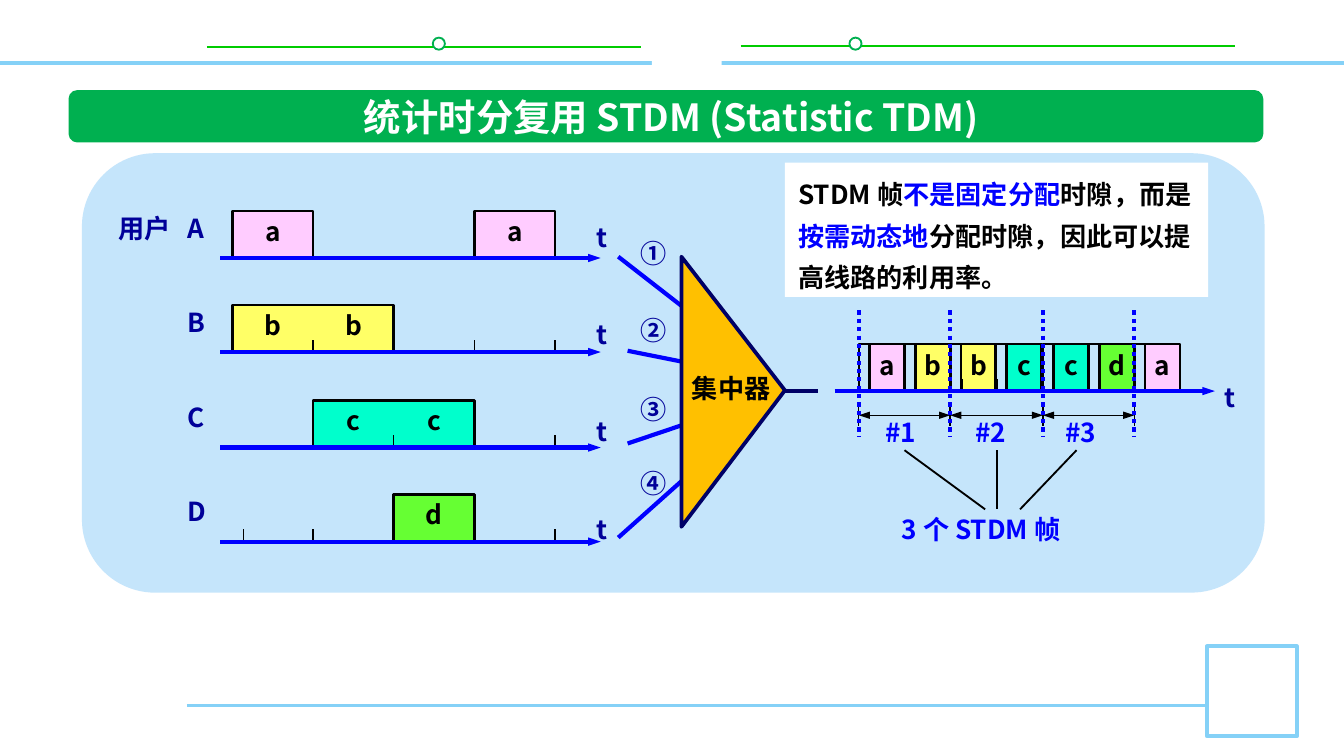
from dataclasses import dataclass
from typing import Optional

from lxml.etree import SubElement
from pptx import Presentation
from pptx.dml.color import RGBColor
from pptx.enum.dml import MSO_LINE
from pptx.enum.shapes import MSO_CONNECTOR, MSO_SHAPE
from pptx.enum.text import MSO_ANCHOR, MSO_AUTO_SIZE, PP_ALIGN
from pptx.oxml.ns import qn
from pptx.util import Emu, Pt

PX = 9144  # 100 px to the inch
FONT = "Noto Sans CJK SC"
COLORS = {
    "white": "FFFFFF", "black": "000000", "blue": "0000FF", "navy": "000099",
    "outline": "000066", "sky": "85D1F7", "panel": "C5E5FB", "title": "00B050",
    "rule": "00CC00", "orange": "FFC000",
    "a": "FFCCFF", "b": "FFFF66", "c": "00FFCC", "d": "66FF33",
}
CELL_X, CELL_W = 173, 60
SLOT_W, SLOT_H, GAP_W = 26, 35, 8
FRAME_Y = 291


@dataclass
class Line:
    x1: int
    y1: int
    x2: int
    y2: int
    color: str = "black"
    width: float = 0.75
    head: bool = False
    tail: bool = False
    dotted: bool = False


@dataclass
class Label:
    text: str
    x: int
    y: int
    w: int
    color: str = "navy"
    size: int = 14
    h: int = 34
    align: PP_ALIGN = PP_ALIGN.LEFT
    wrap: bool = False


@dataclass
class Block:
    """A run of time cells that one user fills."""
    cell: int
    cells: int


@dataclass
class User:
    name: str
    axis_y: int
    blocks: list[Block]
    ticks: list[int]


USERS = [
    User("A", 192, [Block(0, 1), Block(3, 1)], []),
    User("B", 262, [Block(0, 2)], [353, 413]),
    User("C", 333, [Block(1, 2)], [413]),
    User("D", 403, [Block(2, 1)], [181, 233, 413]),
]
FEEDS = [
    (Line(460, 191, 559, 268), Label("①", 467, 172, 40)),
    (Line(467, 261, 562, 280), Label("②", 467, 229, 40)),
    (Line(467, 330, 562, 298), Label("③", 467, 288, 40)),
    (Line(460, 400, 562, 309), Label("④", 467, 343, 40)),
]
NOTE = [
    ("STDM 帧", "black"), ("不是固定分配", "blue"), ("时隙，而是", "black"),
    ("按需动态地", "blue"), ("分配时隙，因此可以提高线路的利用率。", "black"),
]

prs = Presentation()
prs.slide_width = Emu(1000 * PX)
prs.slide_height = Emu(prs.slide_width * 9 // 16)
slide = prs.slides.add_slide(prs.slide_layouts[6])
shapes = slide.shapes


def rgb(name: str) -> RGBColor:
    return RGBColor.from_string(COLORS[name])


def style(sp, fill: Optional[str], line: Optional[str], width: float):
    sp.shadow.inherit = False
    if fill:
        sp.fill.solid()
        sp.fill.fore_color.rgb = rgb(fill)
    else:
        sp.fill.background()
    if line:
        sp.line.color.rgb = rgb(line)
        sp.line.width = Pt(width)
    else:
        sp.line.fill.background()
    return sp


def add_box(kind: MSO_SHAPE, x: int, y: int, w: int, h: int, fill: str,
            line: Optional[str] = None, width: float = 1):
    sp = shapes.add_shape(kind, x * PX, y * PX, w * PX, h * PX)
    return style(sp, fill, line, width)


def add_slot(x: int, base: int, w: int, fill: Optional[str], width: float) -> None:
    """Draw a time slot with no edge along its base."""
    top = base - SLOT_H
    builder = shapes.build_freeform(x, base, scale=PX)
    builder.add_line_segments([(x, top), (x + w, top), (x + w, base)], close=False)
    style(builder.convert_to_shape(), fill, "black", width)


def add_line(line: Line) -> None:
    c = shapes.add_connector(MSO_CONNECTOR.STRAIGHT, line.x1 * PX, line.y1 * PX,
                             line.x2 * PX, line.y2 * PX)
    c.line.color.rgb = rgb(line.color)
    c.line.width = Pt(line.width)
    if line.dotted:
        c.line.dash_style = MSO_LINE.ROUND_DOT
    props = c._element.spPr
    ln = props.find(qn("a:ln"))
    for shown, tag in ((line.head, "a:headEnd"), (line.tail, "a:tailEnd")):
        if shown:
            SubElement(ln, qn(tag), type="triangle", w="sm", len="med")
    SubElement(props, qn("a:effectLst"))


def add_tick(x: int, base: int) -> None:
    add_line(Line(x, base - 9, x, base))


def set_font(p, size: int, color: str) -> None:
    """Set the paragraph font, for Latin and Chinese letters alike."""
    p.font.size, p.font.bold, p.font.name = Pt(size), True, FONT
    p.font.color.rgb = rgb(color)
    SubElement(p._p.pPr.find(qn("a:defRPr")), qn("a:ea"), typeface=FONT)


def add_label(label: Label) -> None:
    sp = shapes.add_textbox(label.x * PX, label.y * PX, label.w * PX, label.h * PX)
    tf = sp.text_frame
    tf.word_wrap = label.wrap
    tf.auto_size = MSO_AUTO_SIZE.NONE if label.wrap else MSO_AUTO_SIZE.SHAPE_TO_FIT_TEXT
    tf.vertical_anchor = MSO_ANCHOR.MIDDLE if label.size > 14 else MSO_ANCHOR.TOP
    p = tf.paragraphs[0]
    p.text, p.alignment = label.text, label.align
    set_font(p, label.size, label.color)


def add_letter(text: str, center: int, y: int) -> None:
    add_label(Label(text, center - 16, y, 32, "black", align=PP_ALIGN.CENTER))


def draw_background() -> None:
    for x1, x2, y, dot in ((154, 477, 35, 322), (551, 919, 34, 632)):
        add_line(Line(x1, y, x2, y, "rule", 1))
        add_box(MSO_SHAPE.OVAL, dot, 28, 9, 9, "white", "title")
    add_line(Line(139, 525, 898, 525, "sky", 1.5))
    add_box(MSO_SHAPE.RECTANGLE, 898, 481, 67, 67, "white", "sky", 2)
    add_line(Line(0, 47, 1000, 47, "sky", 2))
    add_box(MSO_SHAPE.RECTANGLE, 485, 14, 52, 51, "white")
    add_box(MSO_SHAPE.ROUNDED_RECTANGLE, 51, 67, 889, 39, "title")
    add_label(Label("统计时分复用 STDM (Statistic TDM)", 137, 67, 725, "white", 20, 39,
                    PP_ALIGN.CENTER, True))
    add_box(MSO_SHAPE.ROUNDED_RECTANGLE, 61, 114, 880, 327, "panel")


def draw_users() -> None:
    add_label(Label("用户", 78, 153, 59))
    for i, user in enumerate(USERS):
        y, letter = user.axis_y, user.name.lower()
        add_label(Label(user.name, 130, y - 39, 35))
        for block in user.blocks:
            x = CELL_X + block.cell * CELL_W
            add_slot(x, y, block.cells * CELL_W, letter, 1.5)
            for k in range(block.cells):
                left = x + k * CELL_W
                add_letter(letter, left + CELL_W // 2, y - 37)
                if k:
                    add_tick(left, y)
        for x in user.ticks:
            add_tick(x, y)
        add_line(Line(164, y, 447, y, "blue", 2.25, tail=True))
        add_label(Label("t", 434, 160 + 217 * i // 3, 28))


def draw_concentrator() -> None:
    for line, label in FEEDS:
        line.color, line.width, line.tail = "blue", 2.25, True
        add_line(line)
        add_label(label)
    sp = add_box(MSO_SHAPE.ISOSCELES_TRIANGLE, 445, 253, 201, 77, "orange", "outline", 2)
    sp.rotation = 90
    sp.adjustments[0] = 0.495
    add_label(Label("集中器", 505, 272, 79, "black"))
    add_line(Line(584, FRAME_Y, 609, FRAME_Y, "outline", 2.25))


def draw_frames() -> None:
    edges = [639 + 137 * k // 4 for k in range(7)]
    borders = edges[::2]
    for letter, x in zip("abbccda", edges):
        add_slot(x + GAP_W, FRAME_Y, SLOT_W, letter, 1.5)
        add_slot(x, FRAME_Y, GAP_W, None, 0.75)
    for x in (716, 742, 844):
        add_tick(x, FRAME_Y)
    add_line(Line(621, FRAME_Y, 904, FRAME_Y, "blue", 2.25, tail=True))
    add_label(Label("t", 901, 279, 28))
    for x in borders:
        add_line(Line(x, 300, x, 317))
    for i, (x1, x2) in enumerate(zip(borders, borders[1:])):
        add_line(Line(x1, 309, x2, 309, head=True, tail=True))
        add_label(Label(f"#{i + 1}", 649 + 67 * i, 305, 45, "blue"))
    for x1, x2 in ((673, 733), (742, 742), (801, 759)):
        add_line(Line(x1, 335, x2, 379, width=1))
    add_label(Label("3 个 STDM 帧", 661, 377, 149, "blue", wrap=True))
    for x in borders:
        add_line(Line(x, 231, x, 325, "blue", 2.25, dotted=True))
    for letter, x in zip("abbccda", edges):
        add_letter(letter, x + GAP_W + SLOT_W // 2, 255)


def draw_note() -> None:
    sp = add_box(MSO_SHAPE.RECTANGLE, 584, 121, 315, 100, "white")
    tf = sp.text_frame
    tf.word_wrap, tf.vertical_anchor = True, MSO_ANCHOR.TOP
    p = tf.paragraphs[0]
    p.alignment, p.line_spacing = PP_ALIGN.LEFT, Pt(22)
    set_font(p, 14, "black")
    for text, color in NOTE:
        r = p.add_run()
        r.text = text
        r.font.color.rgb = rgb(color)


draw_background()
draw_users()
draw_frames()
draw_note()
draw_concentrator()
prs.save("out.pptx")
